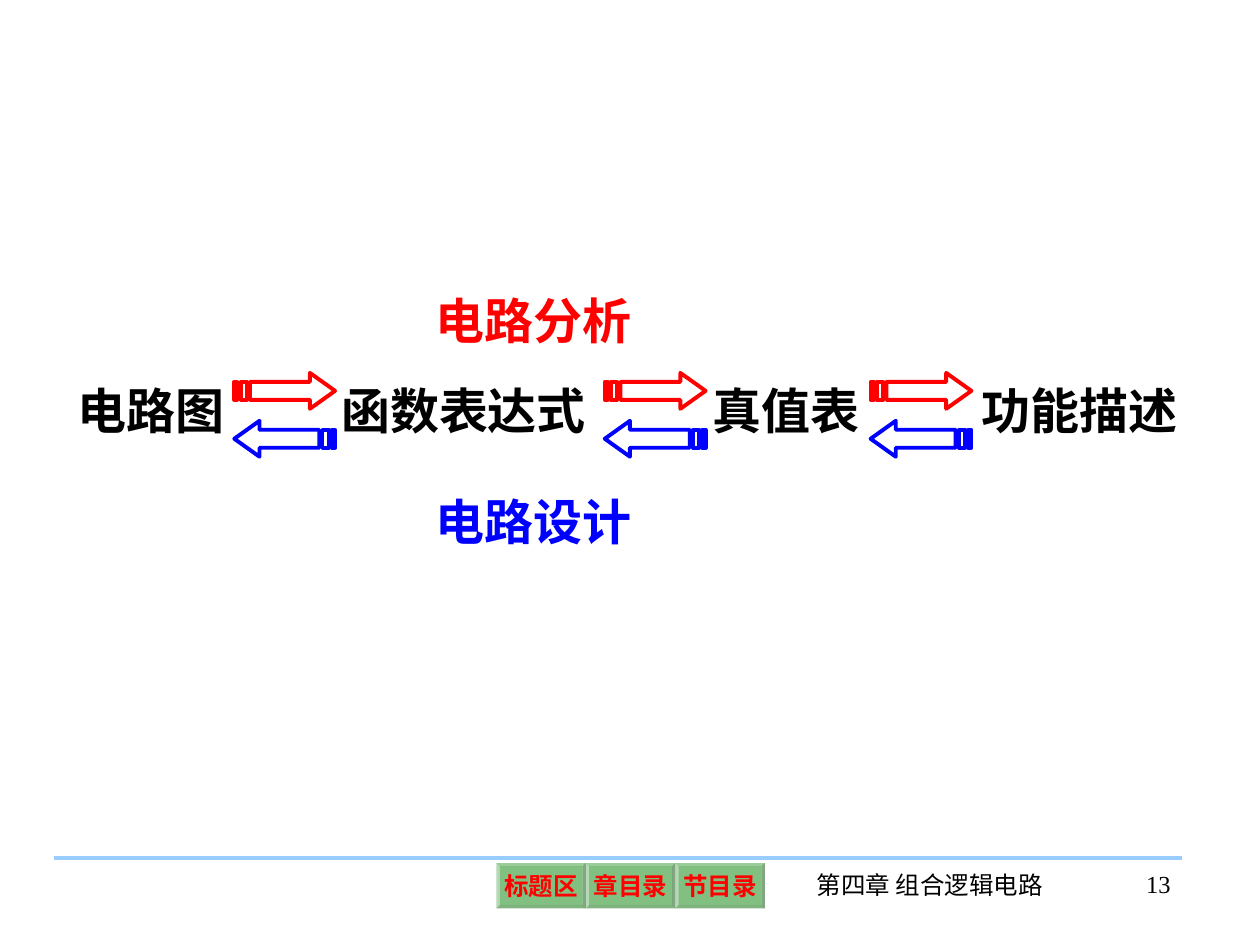
from lxml import etree
from pptx import Presentation, util as u
from pptx.dml.color import RGBColor
from pptx.enum import shapes, text
from pptx.oxml.ns import qn

RED = RGBColor(0xFF, 0x00, 0x00)
BLUE = RGBColor(0x00, 0x00, 0xFF)
BLACK = RGBColor(0x00, 0x00, 0x00)
GREEN = RGBColor(0x00, 0x80, 0x00)
SKY = RGBColor(0x99, 0xCC, 0xFF)
SERIF, SANS = "Times New Roman", "Noto Sans CJK SC"
COLS, ROWS = 100, 75
CELL = u.Inches(10) // COLS
ARROW_W, ARROW_H = 8, 2.85
BUTTON_W, BUTTON_H = 7.1, 3.6


def grid(*cells):
    """Turn columns or rows of the grid into lengths."""
    return [u.Emu(round(c * CELL)) for c in cells]


def add_run(p, words, size, color, font, bold):
    """Append one styled run to a paragraph."""
    r = p.add_run()
    r.text = words
    r.font.size, r.font.bold, r.font.name = u.Pt(size), bold, font
    r.font.color.rgb = color
    ea = etree.SubElement(r._r.get_or_add_rPr(), qn("a:ea"))
    ea.set("typeface", SANS)


def add_label(s, box, words, size=28, color=BLACK, font=SANS, bold=True,
              align=text.PP_ALIGN.LEFT):
    """Place a line of text in a box."""
    tf = s.shapes.add_textbox(*grid(*box)).text_frame
    tf.word_wrap = True
    p = tf.paragraphs[0]
    p.alignment = align
    add_run(p, words, size, color, font, bold)


def add_button(s, col, row, words):
    """Draw a translucent bevelled button."""
    sp = s.shapes.add_shape(shapes.MSO_SHAPE.BEVEL, *grid(col, row, BUTTON_W, BUTTON_H))
    sp.adjustments[0] = 0.07
    sp.shadow.inherit = False
    sp.fill.solid()
    sp.fill.fore_color.rgb = GREEN
    clr = sp.fill._xPr.find(qn("a:solidFill"))[0]
    etree.SubElement(clr, qn("a:alpha")).set("val", "49000")
    sp.line.fill.background()
    tf = sp.text_frame
    tf.word_wrap = False
    tf.vertical_anchor = text.MSO_ANCHOR.MIDDLE
    tf.margin_left = tf.margin_right = tf.margin_top = tf.margin_bottom = u.Inches(0.04)
    p = tf.paragraphs[0]
    p.alignment = text.PP_ALIGN.CENTER
    add_run(p, words, 14, RED, SERIF, True)


def add_striped_arrow(s, col, row, color, mirrored=False):
    """Outline an arrow with two stripes at its tail."""
    top, bottom = ARROW_H / 4, ARROW_H * 3 / 4
    head = [(6, 0), (6, top), (1.25, top), (1.25, bottom), (6, bottom),
            (6, ARROW_H), (ARROW_W, ARROW_H / 2)]
    stripes = [[(a, top), (a, bottom), (b, bottom), (b, top)]
               for a, b in ((0.5, 1), (0, 0.25))]
    fb = None
    for outline in [head] + stripes:
        pts = [grid(col + (ARROW_W - x if mirrored else x), row + y) for x, y in outline]
        if fb is None:
            fb = s.shapes.build_freeform(*pts[0])
        else:
            fb.move_to(*pts[0])
        fb.add_line_segments(pts[1:], close=True)
    sp = fb.convert_to_shape()
    sp.shadow.inherit = False
    sp.fill.background()
    sp.line.color.rgb = color
    sp.line.width = u.Pt(2.25)


def add_rule(s, start, end, row):
    """Draw the horizontal footer rule."""
    ln = s.shapes.add_connector(shapes.MSO_CONNECTOR.STRAIGHT, *grid(start, row, end, row))
    ln.line.color.rgb = SKY
    ln.line.width = u.Pt(2.25)
    etree.SubElement(ln._element.spPr, qn("a:effectLst"))


def main():
    """Build the slide on circuit analysis and design."""
    prs = Presentation()
    prs.slide_width, prs.slide_height = grid(COLS, ROWS)
    s = prs.slides.add_slide(prs.slide_layouts[6])
    add_rule(s, 4.3, 93.8, 68.1)
    add_label(s, (62.4, 68.6, 22.8, 5), "第四章 组合逻辑电路", 14, font=SERIF,
              bold=False, align=text.PP_ALIGN.CENTER)
    add_label(s, (85.3, 68.5, 8.6, 5), "13", 14, font=SERIF, bold=False,
              align=text.PP_ALIGN.RIGHT)
    for i, words in enumerate(("标题区", "章目录", "节目录")):
        add_button(s, 39.4 + i * BUTTON_W, 68.5, words)
    for col, width, words in ((5.2, 15.1, "电路图"), (26.1, 23.7, "函数表达式"),
                              (55.6, 15.5, "真值表"), (76.9, 19, "功能描述")):
        add_label(s, (col, 29.7, width, 5.7), words)
    for row, words, color in ((22.6, "电路分析", RED), (38.5, "电路设计", BLUE)):
        add_label(s, (33.6, row, 31.4, 5.7), words, color=color, font=SERIF)
    for col in (18.6, 48, 69.1):
        add_striped_arrow(s, col, 29.6, RED)
        add_striped_arrow(s, col, 33.4, BLUE, mirrored=True)
    prs.save("out.pptx")


if __name__ == "__main__":
    main()
